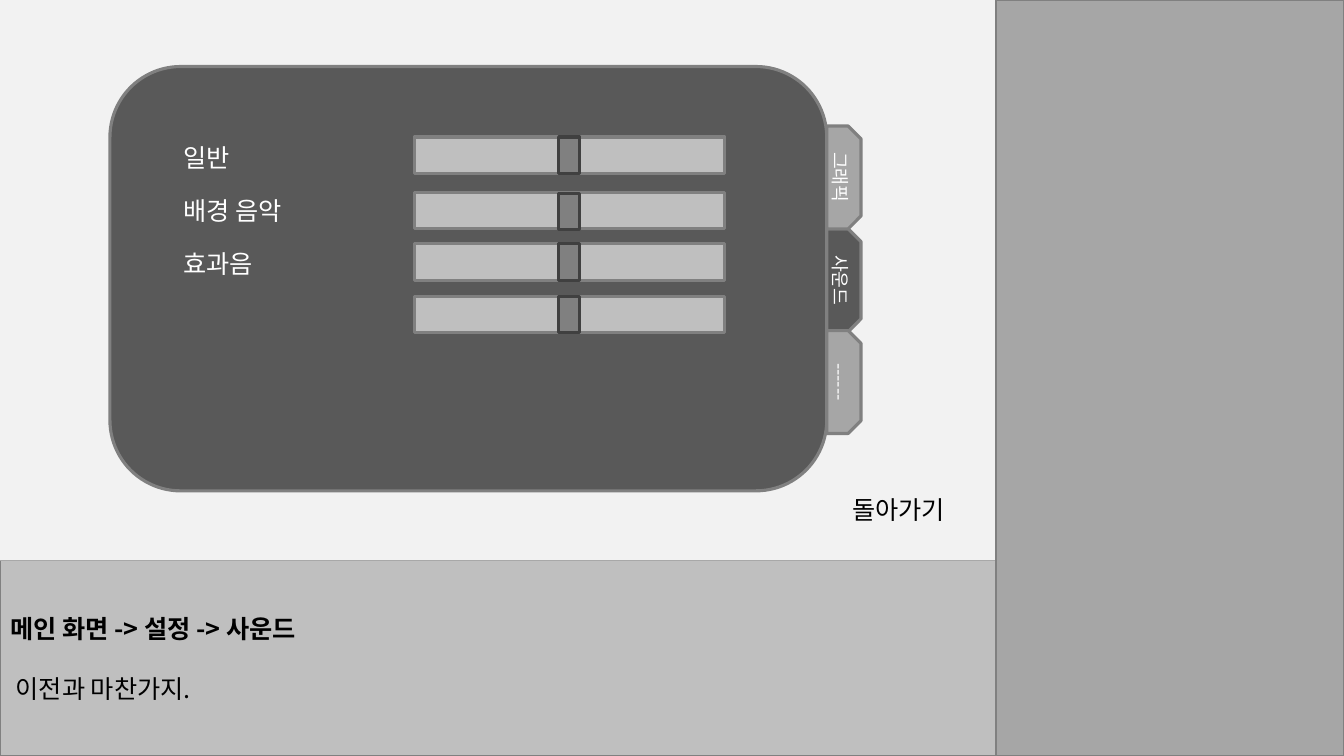
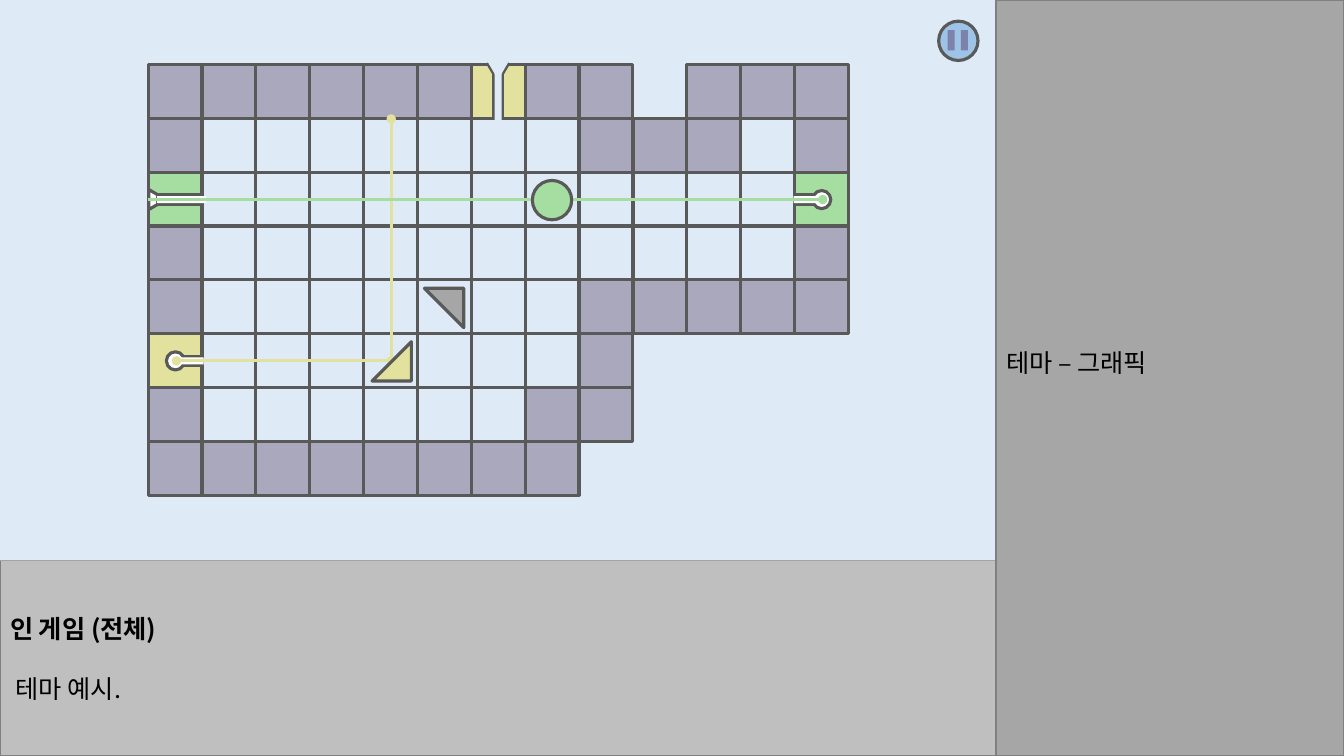
"""Build two game interface slides: the sound settings and a themed level."""
from lxml.etree import SubElement
from pptx import Presentation
from pptx.dml.color import RGBColor
from pptx.enum.shapes import MSO_CONNECTOR, MSO_SHAPE as Kind
from pptx.enum.text import MSO_ANCHOR as Anchor, MSO_AUTO_SIZE as AutoSize, PP_ALIGN as Align
from pptx.oxml.ns import qn
from pptx.util import Inches, Pt

FONT = "Noto Sans CJK KR"
BLACK, WHITE = "000000", "FFFFFF"
DARK, EDGE, MID, LIGHT = "595959", "808080", "A6A6A6", "BFBFBF"
SKY, WALL, YELLOW, GREEN = "DEEBF7", "A9A8BC", "E2E29E", "A6DEA2"
LINE = 2.25


def colour(value):
    return RGBColor.from_string(value)


class Painter:
    def __init__(self, deck):
        self.deck = deck
        self.page = None

    def start(self, background, heading, detail, side_note=""):
        self.page = self.deck.slides.add_slide(self.deck.slide_layouts[5])
        self.shape((0, 0, 9.88, 5.56), background)
        side = self.shape((9.88, 0, 3.45, 7.5), MID, EDGE, 1)
        if side_note:
            self.set_text(side, [side_note], margin_bottom=Inches(0.35))
        band = self.page.shapes.title
        self.place(band, (0, 5.56, 9.88, 1.94))
        self.paint(band, LIGHT, EDGE, 1)
        self.set_text(band, [heading, detail])
        heading_para, detail_para = band.text_frame.paragraphs
        heading_para.runs[0].font.bold = True
        detail_para.space_before = Pt(21.4)

    def place(self, shape, at):
        for name, value in zip(("left", "top", "width", "height"), at):
            setattr(shape, name, Inches(value))

    def paint(self, shape, fill, line, width):
        if fill:
            shape.fill.solid()
            shape.fill.fore_color.rgb = colour(fill)
        else:
            shape.fill.background()
        if line:
            shape.line.color.rgb = colour(line)
            shape.line.width = Pt(width)
        else:
            shape.line.fill.background()

    def shape(self, at, fill=None, line=None, width=LINE, kind=Kind.RECTANGLE,
              turn=0, adjust=()):
        shape = self.page.shapes.add_shape(kind, *map(Inches, at))
        shape.shadow.inherit = False
        shape.rotation = turn
        for index, value in enumerate(adjust):
            shape.adjustments[index] = value
        self.paint(shape, fill, line, width)
        return shape

    def centred(self, x, y, wide, high, fill, line=None, **style):
        at = (x - wide / 2, y - high / 2, wide, high)
        return self.shape(at, fill, line, **style)

    def set_text(self, shape, lines, ink=BLACK, size=18, align=Align.LEFT, **frame_format):
        frame = shape.text_frame
        settings = {"word_wrap": True, "auto_size": AutoSize.NONE,
                    "vertical_anchor": Anchor.MIDDLE, **frame_format}
        for name, value in settings.items():
            setattr(frame, name, value)
        for index, text in enumerate(lines):
            para = frame.add_paragraph() if index else frame.paragraphs[0]
            para.alignment = align
            span = para.add_run()
            span.text = text
            for name, value in {"name": FONT, "size": Pt(size), "bold": False}.items():
                setattr(span.font, name, value)
            span.font.color.rgb = colour(ink)
            SubElement(span.font._element, qn("a:ea"), typeface=FONT)

    def label(self, at, text, ink, align=Align.LEFT):
        box = self.page.shapes.add_textbox(*map(Inches, at))
        self.set_text(box, [text], ink, align=align, word_wrap=False,
                      auto_size=AutoSize.SHAPE_TO_FIT_TEXT, vertical_anchor=Anchor.TOP)

    def beam(self, start, end, ink, ends=("headEnd", "tailEnd")):
        beam = self.page.shapes.add_connector(
            MSO_CONNECTOR.STRAIGHT, *map(Inches, start + end))
        beam.line.color.rgb = colour(ink)
        beam.line.width = Pt(LINE)
        for name in ends:
            SubElement(beam._element.spPr.find(qn("a:ln")), qn("a:" + name), type="oval")
        SubElement(beam._element.spPr, qn("a:effectLst"))

    def slider(self, track_top, knob_top):
        self.shape((4.11, track_top, 3.08, 0.36), LIGHT, EDGE)
        self.shape((5.54, knob_top, 0.21, 0.36), EDGE, "404040")

    def tab(self, top, text, fill):
        tab = self.shape((7.86, top, 1.02, 0.34), fill, EDGE, turn=90,
                         kind=Kind.SNIP_2_SAME_RECTANGLE, adjust=(0.377, 0))
        self.set_text(tab, [text], WHITE, 13, Align.CENTER)

    def socket(self, x, y, side):
        self.centred(x + side * 0.165, y, 0.21, 0.09, WHITE, DARK)
        self.centred(x, y, 0.18, 0.18, WHITE, DARK, kind=Kind.OVAL)
        self.centred(x + side * 0.17, y, 0.22, 0.07, WHITE)

    def mirror(self, at, fill, turn):
        self.shape(at + (0.39, 0.39), fill, DARK, turn=turn,
                   kind=Kind.DIAGONAL_STRIPE, adjust=(0,))


def sound_settings(painter):
    painter.start("F2F2F2", "메인 화면 -> 설정 -> 사운드", " 이전과 마찬가지.")
    painter.shape((1.09, 0.66, 7.11, 4.21), DARK, EDGE, kind=Kind.ROUNDED_RECTANGLE)
    for top, text, fill in ((2.61, "사운드", DARK), (1.59, "그래픽", MID),
                            (3.62, "------", MID)):
        painter.tab(top, text, fill)
    for top, wide, text in ((1.36, 0.71, "일반"), (1.89, 1.3, "배경 음악"),
                            (2.41, 0.96, "효과음")):
        painter.label((1.72, top, wide, 0.4), text, WHITE)
    for tops in ((1.36, 1.36), (1.91, 1.92), (2.42, 2.42), (2.94, 2.94)):
        painter.slider(*tops)
    painter.label((8.26, 4.86, 1.21, 0.4), "돌아가기", BLACK, Align.RIGHT)


def themed_level(painter):
    painter.start(SKY, "인 게임 (전체)", " 테마 예시.", "테마 – 그래픽")
    left, top, cell = 1.47, 0.64, (7.88 - 1.47) / 12
    fills = {"#": WALL, ".": None, "Y": YELLOW, "G": GREEN}
    level = ("######Y## ###",
             "#.......###.#",
             "G...........G",
             "#...........#",
             "#.......#####",
             "Y.......#",
             "#......##",
             "########")
    tiles = [(mark, left + column * cell, top + row * cell)
             for row, marks in enumerate(level)
             for column, mark in enumerate(marks) if mark != " "]
    for mark, x, y in sorted(tiles, key=lambda tile: ".#YG".index(tile[0])):
        painter.shape((x, y, cell, cell), fills[mark], DARK)

    painter.socket(1.74, 3.58, 1)
    painter.socket(8.15, 1.98, -1)
    door, lane = 4.94, 1.98
    painter.centred(door, 0.95, 0.09, 0.43, WHITE, DARK)
    painter.centred(door, 0.72, 0.2, 0.17, WHITE, DARK, kind=Kind.ISOSCELES_TRIANGLE, turn=180)
    painter.centred(door, 0.94, 0.07, 0.51, SKY)
    painter.centred(door, 0.7, 0.21, 0.18, SKY, kind=Kind.ISOSCELES_TRIANGLE, turn=180)
    painter.centred(1.56, lane, 0.2, 0.17, WHITE, DARK, kind=Kind.ISOSCELES_TRIANGLE, turn=90)
    painter.centred(1.78, lane, 0.43, 0.09, WHITE, DARK)
    painter.centred(1.8, lane, 0.49, 0.07, WHITE)

    painter.beam((1.75, 3.58), (3.88, 3.58), YELLOW)
    painter.mirror((4.21, 2.86), MID, 90)
    painter.beam((3.88, 3.58), (3.88, 1.18), YELLOW)
    painter.beam((8.16, lane), (1.47, lane), GREEN, ("headEnd",))
    painter.shape((5.28, 1.79, 0.39, 0.39), GREEN, DARK, kind=Kind.OVAL)
    painter.mirror((3.69, 3.39), YELLOW, 180)

    painter.shape((9.31, 0.21, 0.39, 0.39), "9DC3E6", DARK, kind=Kind.OVAL)
    for x in (9.4, 9.53):
        painter.shape((x, 0.3, 0.07, 0.2), "7D82AB")


deck = Presentation()
deck.slide_width, deck.slide_height = Inches(13.33), Inches(7.5)
painter = Painter(deck)
sound_settings(painter)
themed_level(painter)
deck.save("out.pptx")
